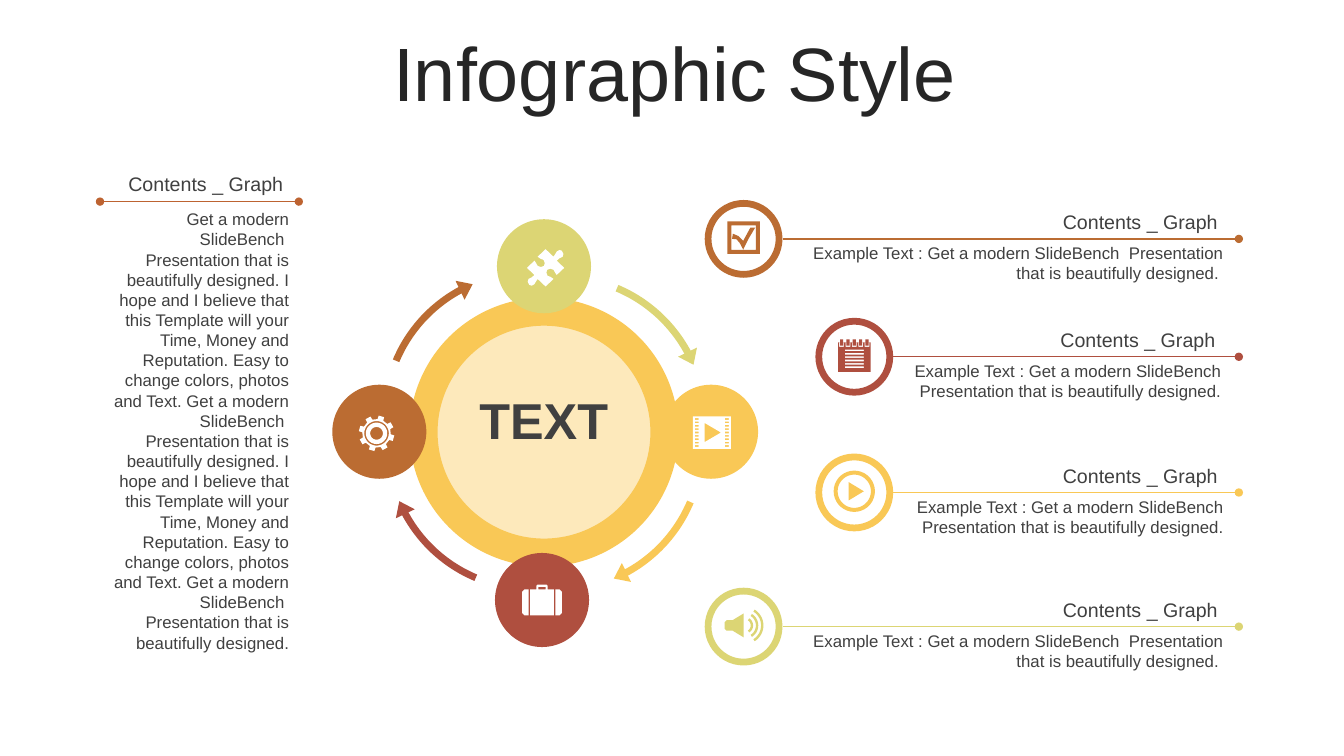
import math
from dataclasses import dataclass

import lxml.etree
import pptx
import pptx.dml.color
import pptx.enum.shapes
import pptx.enum.text
import pptx.oxml.ns
import pptx.util

Cm = pptx.util.Cm
SHAPE = pptx.enum.shapes.MSO_SHAPE
ALIGN = pptx.enum.text.PP_ALIGN
ANCHOR = pptx.enum.text.MSO_ANCHOR
Contour = list[tuple[float, float]]


@dataclass(frozen=True)
class Theme:
    font: str = "Arial"
    title: str = "262626"
    text: str = "404040"
    white: str = "FFFFFF"
    cream: str = "FDE9BB"
    yellow: str = "F9C856"
    brown: str = "BB6C32"
    green: str = "DCD574"
    red: str = "AF4F3F"
    rule: str = "BD6331"
    title_size: int = 54
    hub_size: int = 36
    heading_size: int = 14
    body_size: int = 12


@dataclass(frozen=True)
class Satellite:
    x: float
    y: float
    color: str
    icon: list[Contour]
    dx: float = 0
    dy: float = 0


@dataclass(frozen=True)
class CycleArrow:
    x: float
    y: float
    quarter: int
    color: str


@dataclass(frozen=True)
class Entry:
    x: float
    y: float
    color: str
    icon: list[Contour]
    text_right: float
    text_width: float


def rgb(color: str) -> pptx.dml.color.RGBColor:
    return pptx.dml.color.RGBColor.from_string(color)


def rect(x: float, y: float, w: float, h: float) -> Contour:
    return [(x, y), (x + w, y), (x + w, y + h), (x, y + h)]


def arc(r: float, start: float = 0, end: float = 350, cx: float = 0) -> Contour:
    angles = [math.radians(start + (end - start) * i / 35) for i in range(36)]
    return [(cx + r * math.cos(a), r * math.sin(a)) for a in angles]


def band(r: float) -> Contour:
    return arc(r, -58, 58, 0.03) + arc(r - 0.06, 58, -58, 0.03)


def gear_outline(teeth: int) -> Contour:
    step = 360 / teeth
    corners = [(0.36, -12), (0.45, -9), (0.45, 9), (0.36, 12)]
    turns = [(r, math.radians(16 + k * step + d)) for k in range(teeth) for r, d in corners]
    return [(r * math.cos(a), r * math.sin(a)) for r, a in turns]


def mirrored(points: Contour) -> Contour:
    return [(-x, y) for x, y in points]


T = Theme()
PUZZLE_HALF = [(0.47, 0), (0.28, 0.18), (0.24, 0.12), (0.2, 0.05), (0.12, 0.02), (0.04, 0.05),
               (0.02, 0.12), (0.05, 0.2), (0.13, 0.23), (0.2, 0.28), (0, 0.47), (-0.2, 0.28),
               (-0.24, 0.34), (-0.28, 0.41), (-0.35, 0.45), (-0.41, 0.43), (-0.45, 0.35),
               (-0.43, 0.28), (-0.35, 0.24), (-0.28, 0.18)]
PUZZLE = [PUZZLE_HALF + [(-x, -y) for x, y in PUZZLE_HALF]]
FILM = [rect(-0.48, -0.41, 0.96, 0.82), [(-0.18, -0.24), (-0.18, 0.24), (0.23, 0)]] + [
    rect(x, -0.36 + 0.085 * k, 0.1, 0.04) for x in (-0.43, 0.33) for k in range(9)]
CASE_SIDE = [(-0.34, -0.27), (-0.34, 0.39), (-0.44, 0.39), (-0.5, 0.33), (-0.5, -0.21), (-0.44, -0.27)]
CASE_MIDDLE = [(-0.3, -0.27), (-0.14, -0.27), (-0.14, -0.36), (-0.11, -0.39), (0.11, -0.39),
               (0.14, -0.36), (0.14, -0.27), (0.3, -0.27), (0.3, 0.39), (-0.3, 0.39)]
CASE = [CASE_SIDE, mirrored(CASE_SIDE), CASE_MIDDLE, rect(-0.09, -0.33, 0.18, 0.06)]
GEAR = [gear_outline(8), arc(0.31), arc(0.27), arc(0.16)]
CHECK = [rect(-0.41, -0.41, 0.82, 0.82), rect(-0.31, -0.31, 0.62, 0.62),
         [(-0.29, 0.03), (-0.27, -0.1), (-0.13, -0.04), (-0.01, 0.08), (0.17, -0.25),
          (0.29, -0.25), (0.13, 0.02), (-0.01, 0.3), (-0.1, 0.13), (-0.18, 0.04)]]
NOTEPAD = [rect(-0.41, -0.33, 0.82, 0.74)] + [
    rect(-0.24, -0.15 + 0.085 * k, 0.48, 0.04) for k in range(6)] + [
    rect(-0.32 + 0.16 * k - half, top, 2 * half, bottom - top)
    for k in range(5) for half, top, bottom in ((0.06, -0.33, -0.22), (0.04, -0.41, -0.25))]
PLAY = [arc(0.52), arc(0.42), [(-0.14, -0.23), (0.24, 0), (-0.14, 0.23)]]
SPEAKER = [[(0, -0.3), (0, 0.3), (-0.28, 0.13), (-0.43, 0.13), (-0.48, 0.08), (-0.48, -0.08),
            (-0.43, -0.13), (-0.28, -0.13)]] + [band(r) for r in (0.21, 0.34, 0.47)]

SATELLITES = [
    Satellite(13.71, 6.71, T.green, PUZZLE, 0.04, 0.04),
    Satellite(13.66, 15.12, T.red, CASE),
    Satellite(17.92, 10.88, T.yellow, FILM, 0.02, 0.02),
    Satellite(9.56, 10.88, T.brown, GEAR, -0.07, 0.04),
]
ARROWS = [
    CycleArrow(14.07, 11.25, 0, T.yellow),
    CycleArrow(13.39, 11.23, 1, T.red),
    CycleArrow(13.31, 10.49, 2, T.brown),
    CycleArrow(14.15, 10.59, 3, T.green),
]
ENTRIES = [
    Entry(18.74, 6.02, T.brown, CHECK, 31.09, 11.25),
    Entry(21.53, 8.99, T.red, NOTEPAD, 31.03, 8.31),
    Entry(21.53, 12.41, T.yellow, PLAY, 31.09, 8.31),
    Entry(18.74, 15.79, T.green, SPEAKER, 31.09, 11.25),
]
HEADING = "Contents _ Graph "
EXAMPLE = "Example Text : Get a modern SlideBench  Presentation that is beautifully designed. "
INTRO = "Get a modern SlideBench  Presentation that is beautifully designed."
PITCH = (" I hope and I believe that this Template will your Time, Money and Reputation."
         " Easy to change colors, photos and Text. ")


def style(p, text: str, size: float, color: str, align: ALIGN, bold: bool = False) -> None:
    p.text = text
    p.alignment = align
    p.font.name = T.font
    p.font.size = pptx.util.Pt(size)
    p.font.bold = bold
    p.font.color.rgb = rgb(color)


def add_text(s, x: float, y: float, w: float, h: float, text: str, size: float,
             align: ALIGN = ALIGN.RIGHT, bold: bool = False) -> None:
    tf = s.shapes.add_textbox(Cm(x), Cm(y), Cm(w), Cm(h)).text_frame
    tf.word_wrap = True
    style(tf.paragraphs[0], text, size, T.text, align, bold)


def fill(sp, color: str) -> None:
    sp.fill.solid()
    sp.fill.fore_color.rgb = rgb(color)


def stroke(sp, color: str, width: float, **ends: dict[str, str]) -> None:
    sp.line.color.rgb = rgb(color)
    sp.line.width = pptx.util.Pt(width)
    ln = sp._element.xpath(".//a:ln")[0]
    for end, attributes in ends.items():
        lxml.etree.SubElement(ln, pptx.oxml.ns.qn(f"a:{end}"), attributes)


def add_round(s, kind: SHAPE, x: float, y: float, d: float, color: str):
    sp = s.shapes.add_shape(kind, Cm(x - d / 2), Cm(y - d / 2), Cm(d), Cm(d))
    sp.shadow.inherit = False
    sp.line.fill.background()
    fill(sp, color)
    return sp


def add_rule(s, x1: float, x2: float, y: float, color: str, *ends: str) -> None:
    kind = pptx.enum.shapes.MSO_CONNECTOR.STRAIGHT
    sp = s.shapes.add_connector(kind, Cm(x1), Cm(y), Cm(x2), Cm(y))
    stroke(sp, color, 1, **{end: {"type": "oval"} for end in ends})
    lxml.etree.SubElement(sp._element.spPr, pptx.oxml.ns.qn("a:effectLst"))


def add_outline(s, x: float, y: float, contours: list[Contour], close: bool = True):
    paths = [[(Cm(x + px), Cm(y + py)) for px, py in c] for c in contours]
    builder = s.shapes.build_freeform(*paths[0][0])
    builder.add_line_segments(paths[0][1:], close=close)
    for points in paths[1:]:
        builder.move_to(*points[0])
        builder.add_line_segments(points[1:], close=close)
    sp = builder.convert_to_shape()
    sp.shadow.inherit = False
    return sp


def add_icon(s, x: float, y: float, contours: list[Contour], color: str) -> None:
    sp = add_outline(s, x, y, contours)
    sp.line.fill.background()
    fill(sp, color)


def add_entry(s, entry: Entry) -> None:
    ring = add_round(s, SHAPE.DONUT, entry.x, entry.y, 1.96, entry.color)
    ring.adjustments[0] = 0.087
    add_rule(s, entry.x + 0.98, 31.22, entry.y, entry.color, "tailEnd")
    left = entry.text_right - entry.text_width
    add_text(s, left, entry.y - 0.02, entry.text_width, 1.27, EXAMPLE, T.body_size)
    add_text(s, left - 0.01, entry.y - 0.85, entry.text_width, 0.86, HEADING, T.heading_size)
    add_icon(s, entry.x, entry.y - 0.03, entry.icon, entry.color)


def add_cycle(s) -> None:
    stroke(add_round(s, SHAPE.OVAL, 13.71, 10.89, 6.07, T.cream), T.yellow, 20)
    for arrow in ARROWS:
        turn = 90 * arrow.quarter
        sp = add_outline(s, arrow.x, arrow.y, [arc(3.61, turn + 22.8, turn + 67.2)], False)
        sp.fill.background()
        stroke(sp, arrow.color, 5, tailEnd={"type": "triangle", "len": "sm"})
    for sat in SATELLITES:
        add_round(s, SHAPE.OVAL, sat.x, sat.y, 2.37, sat.color)
        add_icon(s, sat.x + sat.dx, sat.y + sat.dy, sat.icon, T.white)
    add_text(s, 11.18, 9.68, 5.05, 1.63, "TEXT", T.hub_size, ALIGN.CENTER, True)


def main() -> None:
    prs = pptx.Presentation()
    prs.slide_width, prs.slide_height = Cm(33.87), Cm(19.05)
    s = prs.slides.add_slide(prs.slide_layouts[5])
    title = s.shapes.title
    title.left, title.top, title.width, title.height = Cm(0.92), Cm(0.94), Cm(32.16), Cm(2.01)
    title.text_frame.vertical_anchor = ANCHOR.MIDDLE
    title.text_frame.auto_size = pptx.enum.text.MSO_AUTO_SIZE.NONE
    p = title.text_frame.paragraphs[0]
    style(p, "Infographic Style", T.title_size, T.title, ALIGN.CENTER)
    p.line_spacing = 0.9
    add_cycle(s)
    for entry in ENTRIES:
        add_entry(s, entry)
    add_text(s, 2.54, 5.14, 5, 11.53, (INTRO + PITCH) * 2 + INTRO, T.body_size)
    add_text(s, 2.53, 4.22, 5, 0.86, HEADING, T.heading_size)
    add_rule(s, 2.52, 7.53, 5.08, T.rule, "headEnd", "tailEnd")
    prs.save("out.pptx")


if __name__ == "__main__":
    main()
